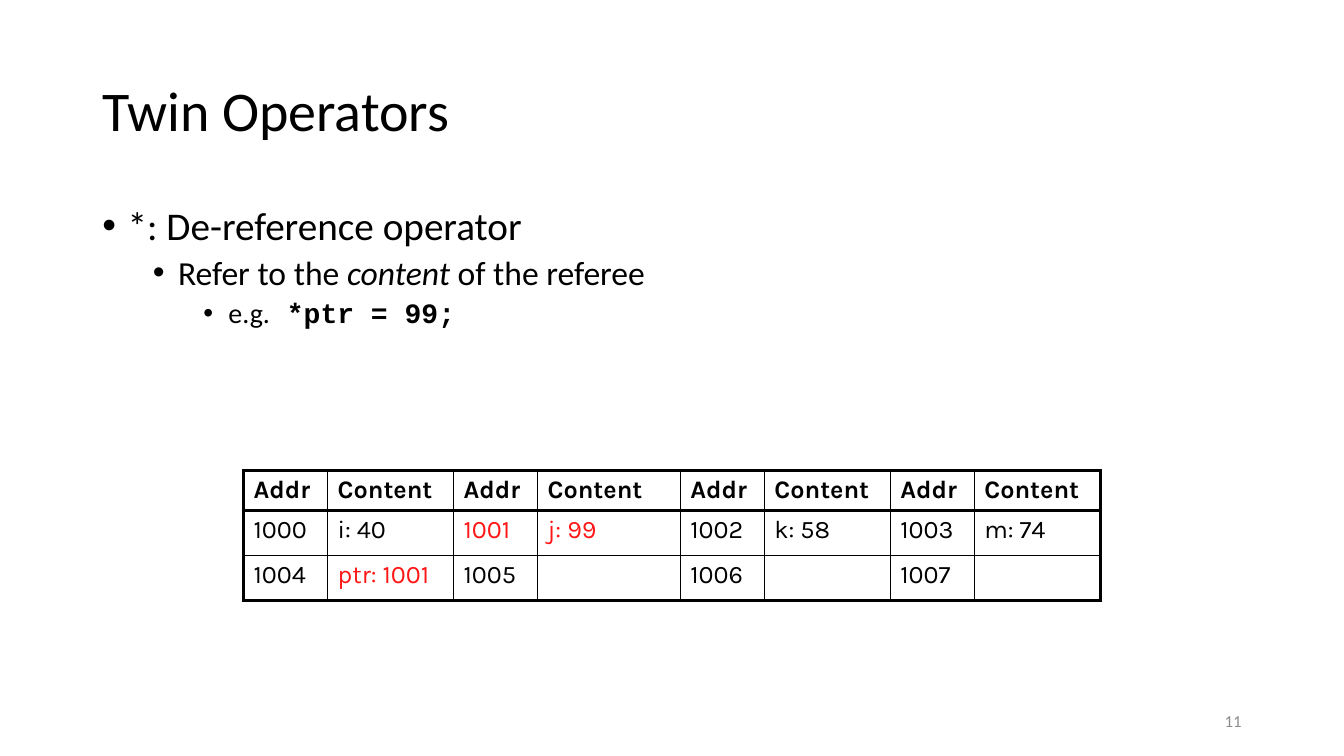
from pptx import Presentation
from pptx.dml.color import RGBColor as RGB
from pptx.enum.text import MSO_ANCHOR as ANCHOR, MSO_AUTO_SIZE as AUTO, PP_ALIGN as ALIGN
from pptx.oxml.ns import qn
from pptx.util import Pt
from lxml.etree import SubElement as Sub

HUE = {"black": "000000", "red": "FF1717", "grey": "8C8C8C"}


def style(par, size, hue="black", face="Calibri"):
    """Set the font of a whole paragraph."""
    par.font.size = Pt(size)
    par.font.name = face
    par.font.color.rgb = RGB.from_string(HUE[hue])


def place(shape, left, top, width, height):
    shape.left, shape.top = Pt(left), Pt(top)
    shape.width, shape.height = Pt(width), Pt(height)


deck = Presentation()
deck.slide_width, deck.slide_height = Pt(960), Pt(540)
slide = deck.slides.add_slide(deck.slide_layouts[1])

# Title
title = slide.shapes.title
place(title, 66, 28.8, 828, 104.4)
frame = title.text_frame
frame.text = "Twin Operators"
frame.auto_size = AUTO.NONE
frame.vertical_anchor = ANCHOR.MIDDLE
par = frame.paragraphs[0]
par.alignment = ALIGN.LEFT
par.line_spacing = 0.9
style(par, 40)

# Bullets: size, space before, runs as (text, italic, code)
items = [
    (28, 0, [("*: De-reference operator", False, False)]),
    (24, 5, [("Refer to the ", False, False), ("content", True, False),
             (" of the referee", False, False)]),
    (20, 5, [("e.g.", False, False), (" *ptr = 99;", False, True)]),
]
body = slide.placeholders[1]
place(body, 66, 144, 828, 342.7)
frame = body.text_frame
frame.auto_size = AUTO.NONE
for level, (size, gap, runs) in enumerate(items):
    par = frame.add_paragraph() if level else frame.paragraphs[0]
    par.level = level
    par.line_spacing = 0.9
    par.space_before = Pt(gap)
    props = par._p.get_or_add_pPr()
    props.set("marL", str(Pt(18 + 36 * level)))
    props.set("indent", str(Pt(-18)))
    Sub(props, qn("a:buFont")).set("typeface", "Arial")
    Sub(props, qn("a:buChar")).set("char", "•")
    style(par, size)
    for text, slant, code in runs:
        run = par.add_run()
        run.text = text
        if slant:
            run.font.italic = True
        if code:
            run.font.name = "Courier New"
            run.font.bold = True

# Slide number
box = slide.shapes.add_textbox(Pt(678), Pt(500.5), Pt(216), Pt(28.8))
frame = box.text_frame
frame.word_wrap = True
frame.vertical_anchor = ANCHOR.MIDDLE
par = frame.paragraphs[0]
par.text = "11"
par.alignment = ALIGN.RIGHT
style(par, 12, "grey")

# Memory table
rows = [
    ["Addr", "Content"] * 4,
    ["1000", "i: 40", "1001", "j: 99", "1002", "k: 58", "1003", "m: 74"],
    ["1004", "ptr: 1001", "1005", "", "1006", "", "1007", ""],
]
marked = {"1001", "j: 99", "ptr: 1001"}
widths = [60, 90, 60, 102, 60, 90, 60, 90]
heights = [28.8, 32, 32]
grid = slide.shapes.add_table(len(rows), len(widths), Pt(174), Pt(336),
                              Pt(sum(widths)), Pt(sum(heights))).table
grid.first_row = grid.horz_banding = False
for col, width in zip(grid.columns, widths):
    col.width = Pt(width)
for r, texts in enumerate(rows):
    grid.rows[r].height = Pt(heights[r])
    for c, text in enumerate(texts):
        cell = grid.cell(r, c)
        par = cell.text_frame.paragraphs[0]
        par.text = text
        style(par, 18, "red" if text in marked else "black", "Karla")
        par.font.bold = r == 0
        thick = {"L": c == 0, "R": c == len(widths) - 1,
                 "T": r < 2, "B": r != 1}
        props = cell._tc.get_or_add_tcPr()
        for side, heavy in thick.items():
            line = Sub(props, qn("a:ln" + side))
            line.set("w", str(Pt(2.25 if heavy else 1)))
            fill = Sub(line, qn("a:solidFill"))
            Sub(fill, qn("a:srgbClr")).set("val", HUE["black"])
        cell.fill.background()

deck.save("out.pptx")
